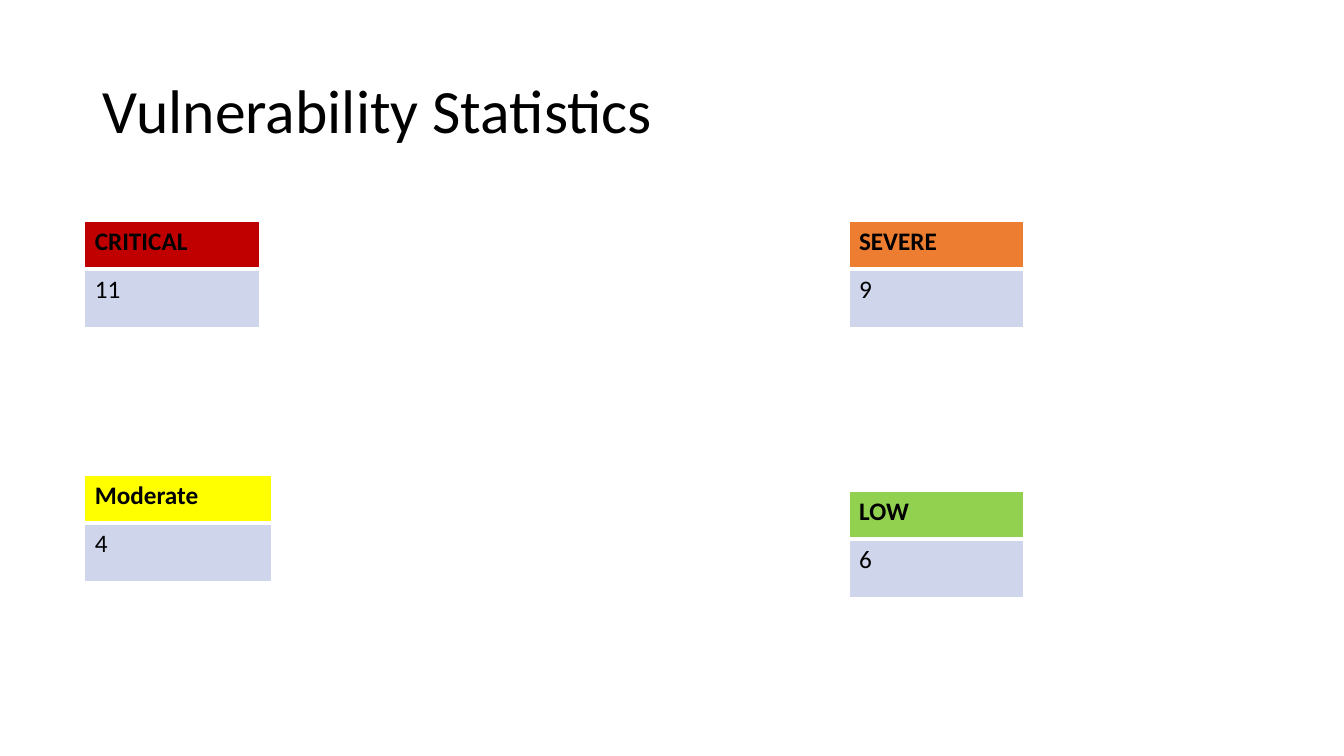
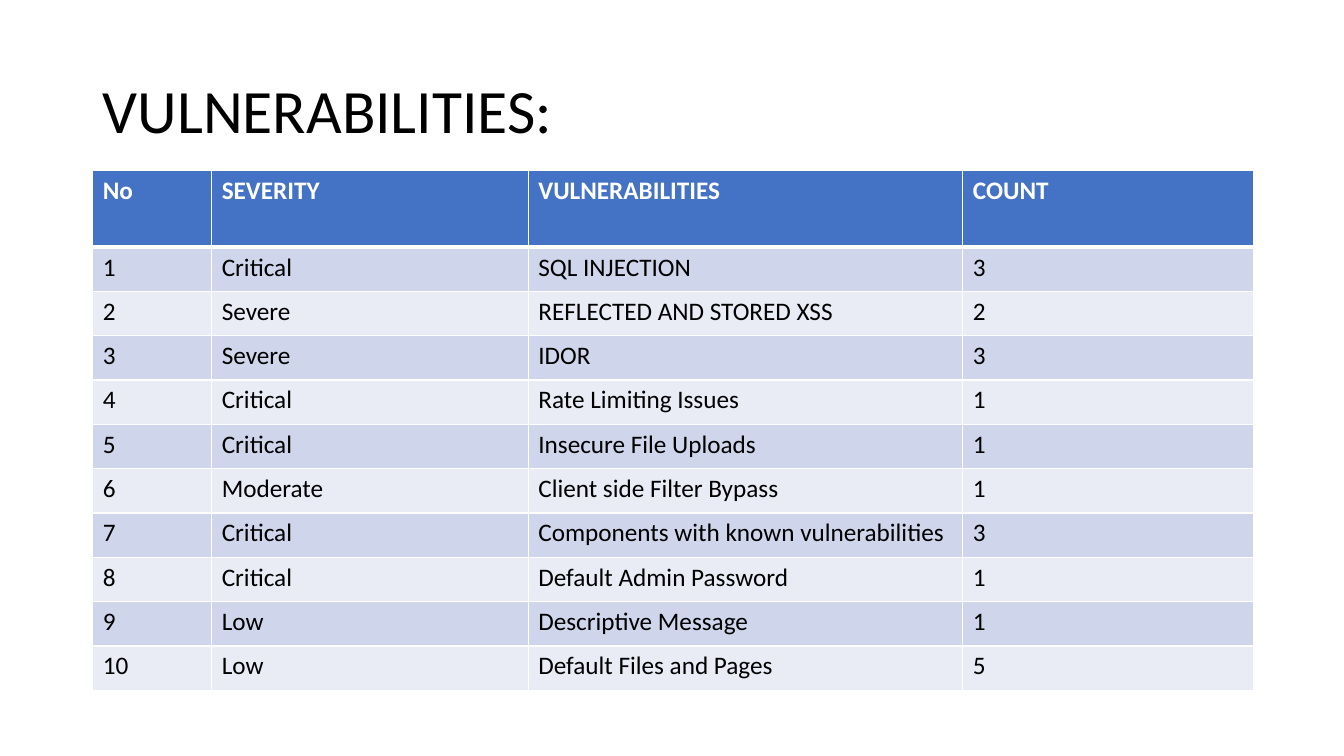
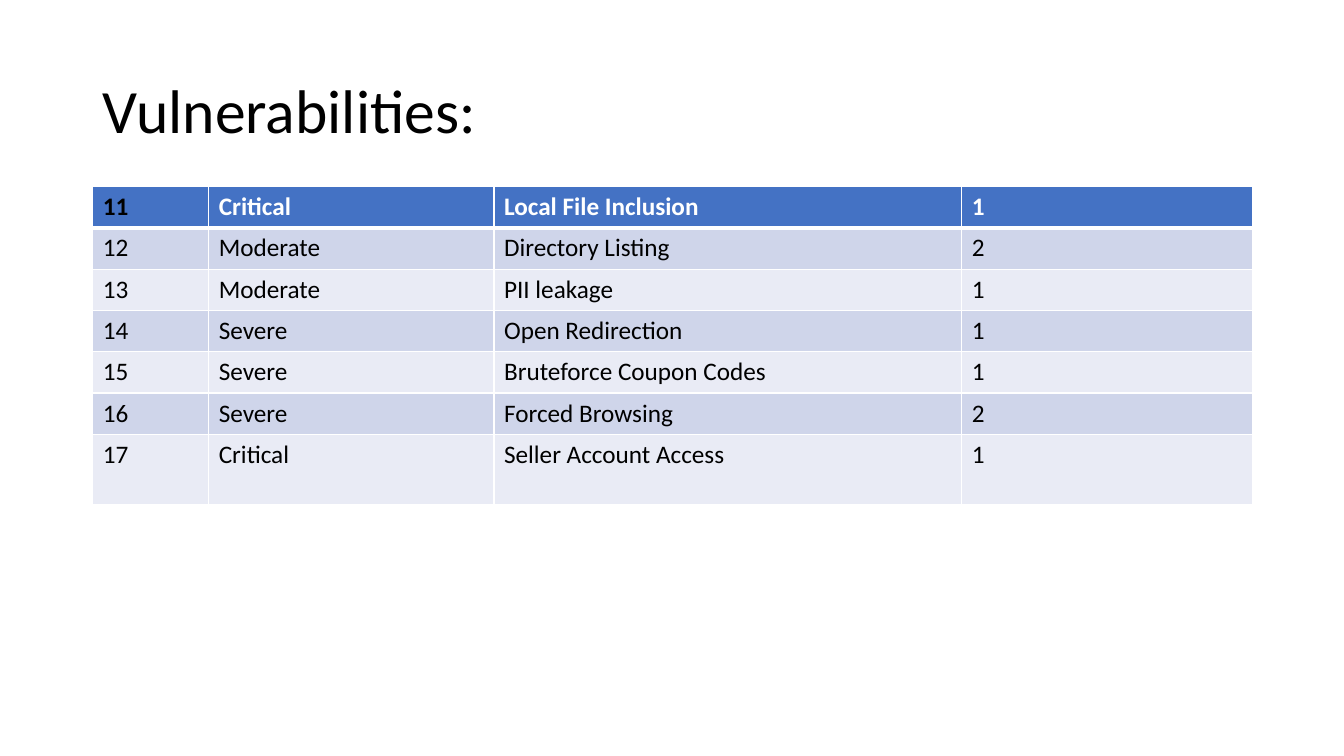
from lxml import etree
from pptx import Presentation
from pptx.dml.color import RGBColor
from pptx.enum.text import MSO_ANCHOR, MSO_AUTO_SIZE, PP_ALIGN
from pptx.oxml.ns import qn
from pptx.util import Inches, Pt

LEFT = PP_ALIGN.LEFT
MIDDLE = MSO_ANCHOR.MIDDLE
NO_AUTOFIT = MSO_AUTO_SIZE.NONE

FONT = "Calibri"
COLORS = {
    "text": "000000",
    "white": "FFFFFF",
    "header": "4472C4",
    "odd": "CFD5EA",
    "even": "E9EBF5",
    "critical": "C00000",
    "severe": "ED7D31",
    "moderate": "FFFF00",
    "low": "92D050",
}
THIN, THICK = Pt(1), Pt(3)


def add_titled_slide(title):
    slide = prs.slides.add_slide(layout)
    tf = slide.shapes.title.text_frame
    tf.text = title
    tf.auto_size = NO_AUTOFIT
    tf.vertical_anchor = MIDDLE
    p = tf.paragraphs[0]
    p.alignment = LEFT
    p.line_spacing = 0.9
    p.font.name = FONT
    p.font.size = Pt(44)
    p.font.color.rgb = RGBColor.from_string(COLORS["text"])
    return slide


def add_banded_table(slide, left, top, widths, heights, rows,
                     header="header", header_text="white"):
    """Add a table with a bold first row, banded body rows and white rules."""
    table = slide.shapes.add_table(
        len(rows), len(widths), Inches(left), Inches(top),
        Inches(sum(widths)), Inches(sum(heights))).table
    for column, width in zip(table.columns, widths):
        column.width = Inches(width)
    for row, height in zip(table.rows, heights):
        row.height = Inches(height)
    for i, values in enumerate(rows):
        fill = header if i == 0 else "odd" if i % 2 else "even"
        for j, value in enumerate(values):
            cell = table.cell(i, j)
            tcPr = cell._tc.get_or_add_tcPr()
            borders = {"lnL": THIN, "lnR": THIN,
                       "lnT": THICK if i == 1 else THIN,
                       "lnB": THICK if i == 0 else THIN}
            for tag, width in borders.items():
                ln = etree.SubElement(tcPr, qn(f"a:{tag}"), w=str(width))
                line_fill = etree.SubElement(ln, qn("a:solidFill"))
                etree.SubElement(line_fill, qn("a:srgbClr"), val=COLORS["white"])
            cell.fill.solid()
            cell.fill.fore_color.rgb = RGBColor.from_string(COLORS[fill])
            cell.text = str(value)
            font = cell.text_frame.paragraphs[0].font
            font.name = FONT
            font.size = Pt(18)
            font.bold = i == 0
            color = header_text if i == 0 else "text"
            font.color.rgb = RGBColor.from_string(COLORS[color])
    return table


prs = Presentation()
prs.slide_width = Inches(13.33)
prs.slide_height = Inches(7.5)
layout = prs.slide_layouts[5]
title = layout.placeholders[0]
title.left, title.top = Inches(0.92), Inches(0.4)
title.width, title.height = Inches(11.5), Inches(1.45)

# Totals by severity
slide = add_titled_slide("Vulnerability Statistics")
totals = [
    ("CRITICAL", 11, "critical", 0.84, 2.2, 1.73),
    ("SEVERE", 9, "severe", 8.42, 2.2, 1.73),
    ("Moderate", 4, "moderate", 0.84, 4.72, 1.85),
    ("LOW", 6, "low", 8.42, 4.88, 1.73),
]
for label, count, color, left, top, width in totals:
    add_banded_table(slide, left, top, [width], [0.47, 0.58],
                     [[label], [count]], color, "text")

# Vulnerabilities 1 to 10
slide = add_titled_slide("VULNERABILITIES:")
rows = [
    ("No", "SEVERITY", "VULNERABILITIES", "COUNT"),
    (1, "Critical", "SQL INJECTION", 3),
    (2, "Severe", "REFLECTED AND STORED XSS", 2),
    (3, "Severe", "IDOR", 3),
    (4, "Critical", "Rate Limiting Issues", 1),
    (5, "Critical", "Insecure File Uploads", 1),
    (6, "Moderate", "Client side Filter Bypass", 1),
    (7, "Critical", "Components with known vulnerabilities", 3),
    (8, "Critical", "Default Admin Password", 1),
    (9, "Low", "Descriptive Message", 1),
    (10, "Low", "Default Files and Pages", 5),
]
add_banded_table(slide, 0.92, 1.69, [1.18, 3.14, 4.31, 2.88],
                 [0.76] + [0.44] * 10, rows)

# Vulnerabilities 11 to 17
slide = add_titled_slide("Vulnerabilities:")
rows = [
    (11, "Critical", "Local File Inclusion", 1),
    (12, "Moderate", "Directory Listing", 2),
    (13, "Moderate", "PII leakage", 1),
    (14, "Severe", "Open Redirection", 1),
    (15, "Severe", "Bruteforce Coupon Codes", 1),
    (16, "Severe", "Forced Browsing", 2),
    (17, "Critical", "Seller Account Access", 1),
]
table = add_banded_table(slide, 0.92, 1.85, [1.15, 2.83, 4.64, 2.88],
                         [0.41] * 6 + [0.7], rows)
first_number = table.cell(0, 0).text_frame.paragraphs[0]
first_number.font.color.rgb = RGBColor.from_string(COLORS["text"])

prs.save("out.pptx")
